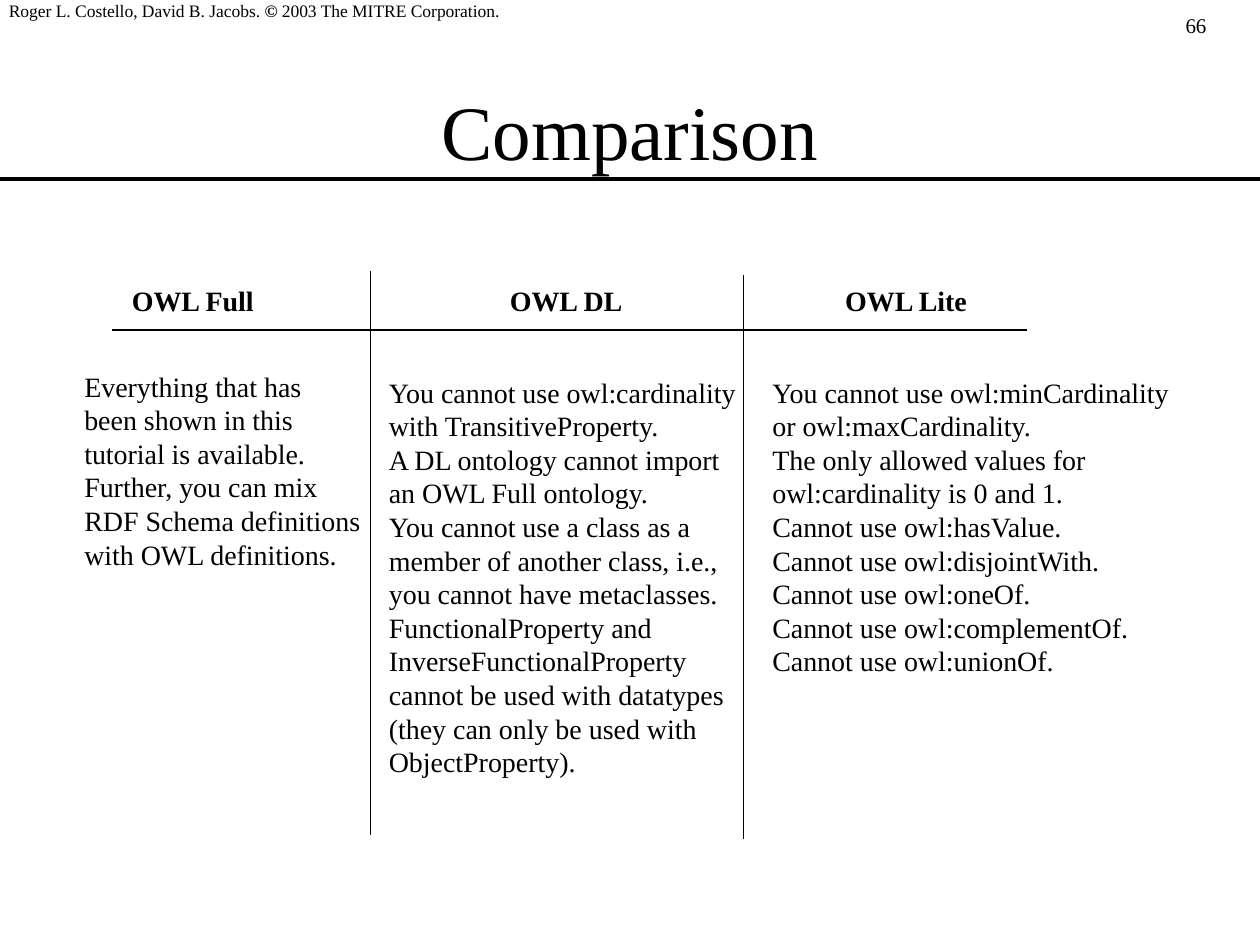
"""Build the slide comparing OWL Full, OWL DL and OWL Lite."""
import pptx
import pptx.util
import pptx.dml.color
import pptx.enum.shapes
import pptx.enum.text
import pptx.oxml
import pptx.oxml.ns

Cm, Pt = pptx.util.Cm, pptx.util.Pt
FONT = "Times New Roman"
COLORS = {"ink": "000000", "paper": "FFFFFF"}

TITLE = "Comparison"
PAGE = "66"
CREDIT = [
    ("Roger L. Costello, David B. Jacobs. ", False),
    ("©", True),
    (" 2003 The MITRE Corporation.", False),
]
HEADS = ["OWL Full", "OWL DL", "OWL Lite"]
STOPS = [7.62, 14.38]
COLUMNS = [
    ((1.45, 7.32, 6.2, 4.32), [
        "Everything that has",
        "been shown in this",
        "tutorial is available.",
        "Further, you can mix",
        "RDF Schema definitions",
        "with OWL definitions.",
    ]),
    ((7.59, 7.44, 7.7, 8.38), [
        "You cannot use owl:cardinality",
        "with TransitiveProperty.",
        "A DL ontology cannot import",
        "an OWL Full ontology.",
        "You cannot use a class as a",
        "member of another class, i.e.,",
        "you cannot have metaclasses.",
        "FunctionalProperty and",
        "InverseFunctionalProperty",
        "cannot be used with datatypes",
        "(they can only be used with",
        "ObjectProperty).",
    ]),
    ((15.32, 7.44, 8.7, 6.35), [
        "You cannot use owl:minCardinality",
        "or owl:maxCardinality.",
        "The only allowed values for",
        "owl:cardinality is 0 and 1.",
        "Cannot use owl:hasValue.",
        "Cannot use owl:disjointWith.",
        "Cannot use owl:oneOf.",
        "Cannot use owl:complementOf.",
        "Cannot use owl:unionOf.",
    ]),
]
RULES = [
    (2.26, 6.65, 20.7, 6.65, 1),
    (7.47, 5.46, 7.47, 16.84, 1),
    (14.99, 5.54, 14.99, 16.92, 1),
    (0, 3.61, 25.4, 3.61, 2),
]


def color(name):
    return pptx.dml.color.RGBColor.from_string(COLORS[name])


def fill(frame, lines, size):
    frame.word_wrap = True
    for num, runs in enumerate(lines):
        para = frame.paragraphs[0] if num == 0 else frame.add_paragraph()
        para.line_spacing = Pt(size * 1.2)
        para.space_before = Pt(0)
        for text, bold in runs:
            run = para.add_run()
            run.text = text
            run.font.name = FONT
            run.font.size = Pt(size)
            run.font.bold = bold
            run.font.color.rgb = color("ink")


def write(slide, area, lines, size):
    frame = slide.shapes.add_textbox(*map(Cm, area)).text_frame
    fill(frame, lines, size)
    return frame


def set_tabs(para, stops):
    tabs = pptx.oxml.parse_xml(
        "<a:tabLst %s>%s</a:tabLst>" % (
            pptx.oxml.ns.nsdecls("a"),
            "".join('<a:tab pos="%d" algn="l"/>' % Cm(stop) for stop in stops),
        )
    )
    para._p.get_or_add_pPr().append(tabs)


def rule(slide, ends, width):
    kind = pptx.enum.shapes.MSO_CONNECTOR.STRAIGHT
    line = slide.shapes.add_connector(kind, *map(Cm, ends))
    line.line.color.rgb = color("ink")
    line.line.width = Pt(width)
    flat = "<a:effectLst %s/>" % pptx.oxml.ns.nsdecls("a")
    line._element.spPr.append(pptx.oxml.parse_xml(flat))


def main():
    deck = pptx.Presentation()
    deck.slide_width, deck.slide_height = Cm(25.4), Cm(19.05)
    slide = deck.slides.add_slide(deck.slide_layouts[5])
    slide.background.fill.solid()
    slide.background.fill.fore_color.rgb = color("paper")

    title = slide.shapes.title
    title.left, title.top = Cm(1.9), Cm(1.02)
    title.width, title.height = Cm(21.6), Cm(3.17)
    fill(title.text_frame, [[(TITLE, False)]], 44)
    title.text_frame.vertical_anchor = pptx.enum.text.MSO_ANCHOR.MIDDLE
    title.text_frame.paragraphs[0].alignment = pptx.enum.text.PP_ALIGN.CENTER

    write(slide, (23.65, 0.13, 1.5, 0.76), [[(PAGE, False)]], 12)
    credit = write(slide, (0.18, 0, 10.8, 0.5), [CREDIT], 10)
    credit.margin_left = credit.margin_top = 0
    credit.margin_right = credit.margin_bottom = 0

    heads = write(slide, (2.41, 5.59, 17.5, 0.94),
                  [[("\t".join(HEADS), True)]], 16)
    set_tabs(heads.paragraphs[0], STOPS)
    for area, lines in COLUMNS:
        write(slide, area, [[(line, False)] for line in lines], 16)
    for *ends, width in RULES:
        rule(slide, ends, width)
    deck.save("out.pptx")


if __name__ == "__main__":
    main()
